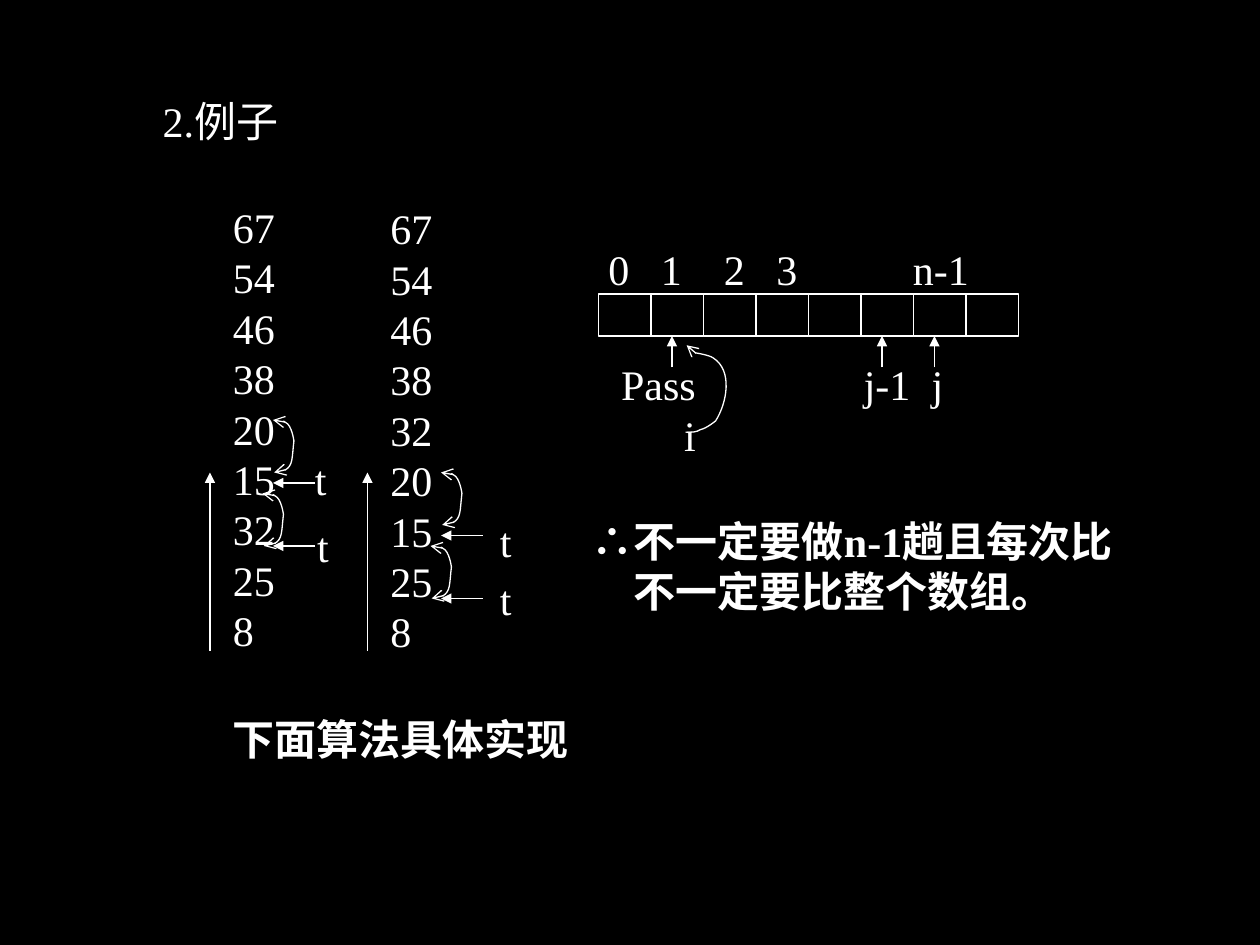
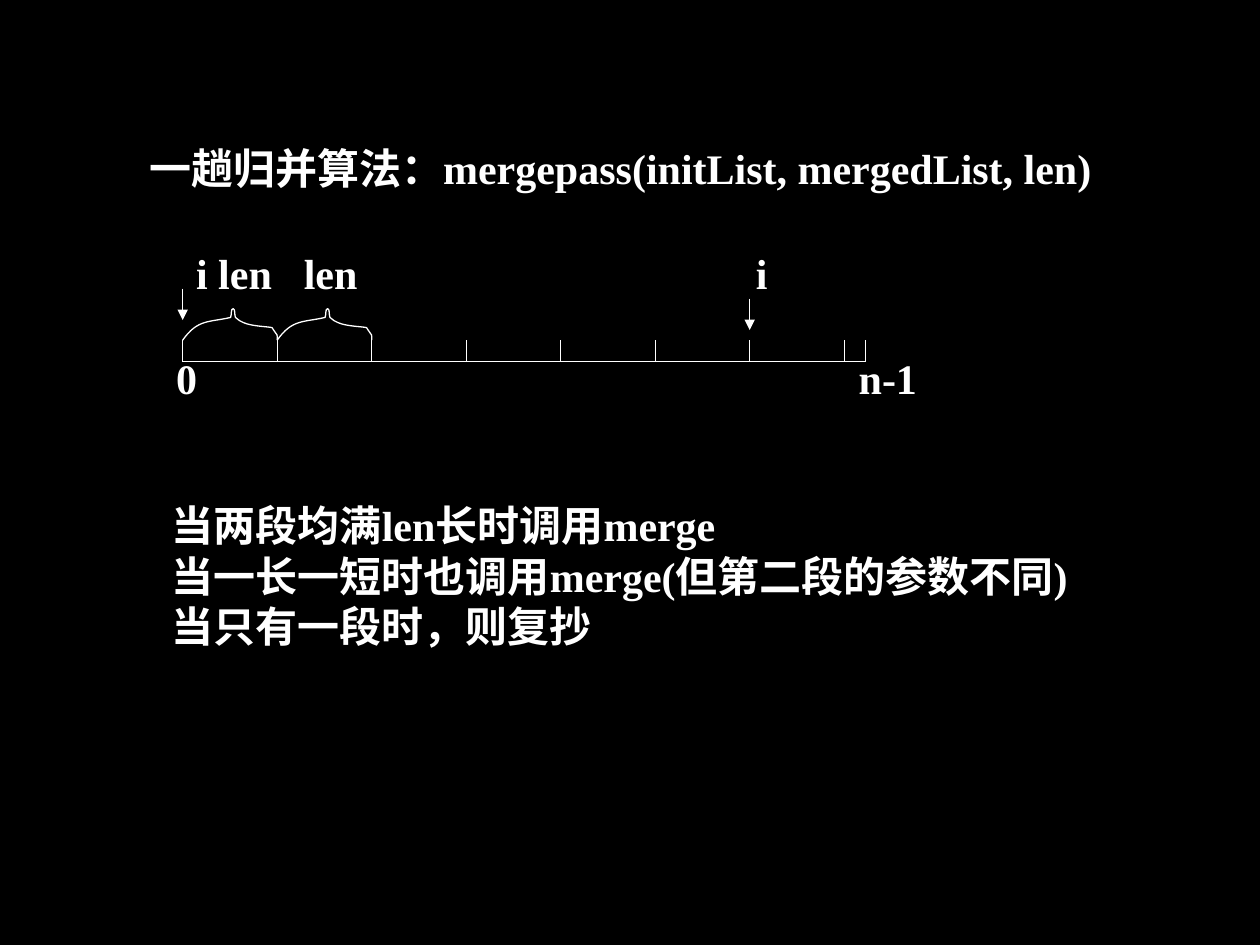
from lxml.etree import SubElement
from pptx import Presentation
from pptx.dml.color import RGBColor
from pptx.enum.shapes import MSO_CONNECTOR as Connector, MSO_SHAPE as Preset
from pptx.enum.text import MSO_ANCHOR as Anchor, MSO_AUTO_SIZE as AutoSize, PP_ALIGN as Align
from pptx.oxml.ns import qn
from pptx.util import Pt

BLACK, WHITE = "000000", "FFFFFF"
FONT = "Times New Roman"


def style_text(frame, bold, color=WHITE):
    frame.word_wrap = True
    frame.auto_size = AutoSize.NONE
    frame.vertical_anchor = Anchor.TOP
    for para in frame.paragraphs:
        para.alignment = Align.LEFT
        para.space_before = Pt(0)
        for span in para.runs:
            span.font.name = FONT
            span.font.size = Pt(24)
            span.font.bold = bold
            span.font.color.rgb = RGBColor.from_string(color)


def style_line(item, head=None, tail=None, color=WHITE):
    """Give a thin shadowless line; head and tail name arrowheads at its start and end."""
    item.line.color.rgb = RGBColor.from_string(color)
    item.line.width = Pt(0.75)
    properties = item._element.spPr
    for tag, kind in (("a:headEnd", head), ("a:tailEnd", tail)):
        if kind:
            SubElement(properties.find(qn("a:ln")), qn(tag), type=kind)
    SubElement(properties, qn("a:effectLst"))


deck = Presentation()
deck.slide_width, deck.slide_height = Pt(720), Pt(540)
background = deck.slide_master.background.fill
background.solid()
background.fore_color.rgb = RGBColor.from_string(BLACK)

example = deck.slides.add_slide(deck.slide_layouts[5])
merging = deck.slides.add_slide(deck.slide_layouts[1])

# Titles and the list
example.shapes.title.text_frame.text = "2.例子"
merging.shapes.title.text_frame.text = "一趟归并算法：mergepass(initList, mergedList, len)"
rules = merging.placeholders[1]
rules.text_frame.text = "\n".join([
    "当两段均满len长时调用merge",
    "当一长一短时也调用merge(但第二段的参数不同)",
    "当只有一段时，则复抄",
])
for para in rules.text_frame.paragraphs:
    properties = para._p.get_or_add_pPr()
    properties.set("marL", "0")
    properties.set("indent", "0")
    SubElement(properties, qn("a:buNone"))
for holder, left, top, width, height, bold in [
    (example.shapes.title, 85.7, 51, 110, 36, False),
    (merging.shapes.title, 78, 78, 580, 36, True),
    (rules, 91, 282, 570, 94, True),
]:
    holder.left, holder.top = Pt(left), Pt(top)
    holder.width, holder.height = Pt(width), Pt(height)
    style_text(holder.text_frame, bold)

# Labels: page, left, top, width, text, bold
labels = [
    (example, 126, 111.6, 45, "67 54 46 38 20 15 32 25 8".replace(" ", "\n"), False),
    (example, 216, 112.3, 45, "67 54 46 38 32 20 15 25 8".replace(" ", "\n"), False),
    (example, 172.8, 255.6, 24, "t", False),
    (example, 174.2, 293.8, 24, "t", False),
    (example, 278.6, 290.9, 24, "t", False),
    (example, 278.6, 324, 24, "t", False),
    (example, 340.6, 135.4, 30, "0", False),
    (example, 370.6, 135.4, 30, "1", False),
    (example, 406.6, 135.4, 30, "2", False),
    (example, 436.6, 135.4, 30, "3", False),
    (example, 514.6, 135.4, 60, "n-1", False),
    (example, 347.8, 201.6, 65, "Pass", False),
    (example, 383.8, 230.4, 24, "i", False),
    (example, 486.5, 201.6, 46, "j-1", False),
    (example, 525.2, 201.6, 24, "j", False),
    (example, 126, 404, 220, "下面算法具体实现", True),
    (merging, 105, 138.2, 70, "i len", True),
    (merging, 166.5, 138.2, 60, "len", True),
    (merging, 424.8, 138.2, 24, "i", True),
    (merging, 93.6, 198, 30, "0", True),
    (merging, 483.6, 198, 60, "n-1", True),
]
for page, left, top, width, text, bold in labels:
    height = 7.2 + 28.8 * (text.count("\n") + 1)
    box = page.shapes.add_textbox(Pt(left), Pt(top), Pt(width), Pt(height))
    box.text_frame.text = text
    style_text(box.text_frame, bold)

conclusion = example.shapes.add_textbox(Pt(331.2), Pt(290.9), Pt(319.7), Pt(94)).text_frame
conclusion.text = "∴\n不一定要比整个数组。"
first, second = conclusion.paragraphs
first.add_run().text = "不一定要做n-1趟且每次比"
second._p.get_or_add_pPr().set("marL", str(Pt(24)))
style_text(conclusion, True)
first.runs[0].font.name = "Arial"

# Array cells
for index in range(8):
    cell = example.shapes.add_shape(Preset.RECTANGLE, Pt(342 + 30 * index), Pt(168), Pt(30), Pt(24))
    cell.fill.background()
    style_line(cell)

# Straight lines: page, start x, start y, end x, end y, arrowhead
lines = [(example, x, 372, x, 270, "triangle") for x in (120, 210)]
lines += [(example, x, 210, x, 192, "triangle") for x in (384, 504, 534)]
lines += [(example, x + 24, y, x, y, "triangle")
          for x, top in ((156, 276), (252, 306)) for y in (top, top + 36)]
ticks = [104.4 + 54 * index for index in range(8)] + [494.6]
lines += [(merging, x, 206.6, x, 194.4, None) for x in ticks]
lines += [
    (merging, ticks[0], 206.6, ticks[-1], 206.6, None),
    (merging, ticks[0], 164.9, ticks[0], 182.9, "triangle"),
    (merging, ticks[6], 170.6, ticks[6], 188.6, "triangle"),
]
for page, start_x, start_y, end_x, end_y, tail in lines:
    line = page.shapes.add_connector(
        Connector.STRAIGHT, Pt(start_x), Pt(start_y), Pt(end_x), Pt(end_y))
    style_line(line, tail=tail)

# Bezier curves: a start point, then three points for each segment
swap = [(0, 0), (2.4, 0.6), (5, 0), (7.2, 1.4), (10.8, 2.9), (12, 12), (12, 12),
        (10.8, 22), (12, 30), (0.7, 30)]
next_pass = [(0, 0), (2.9, 0), (5.8, 0), (7.9, -1.5), (11.5, -2.2), (16.6, -6.5), (16.6, -6.5),
             (23, -16.6), (26.6, -35.3), (15.1, -42.5), (13, -44), (5, -45.4), (4.3, -45.4),
             (2.9, -46.8), (1.4, -48.3), (0, -49.7)]
brace = [(0, 0), (8.6, -12.2), (15.1, -10.1), (27.4, -13), (28.1, -14.4), (27.4, -18), (28.8, -18),
         (30.2, -18), (29.5, -14.4), (30.2, -13), (31.7, -11.5), (33.1, -10.8), (34.6, -10.1),
         (39.6, -7.9), (47.5, -7.9), (51.1, -7.2), (54.7, -1.4), (54, -4.3), (54, 0)]
curves = [(example, x, y, swap, "arrow", "arrow")
          for x, y in ((156, 240), (150, 282), (252, 270), (246, 312))]
curves.append((example, 392.4, 247, next_pass, None, "arrow"))
curves += [(merging, x, 194.4, brace, None, None) for x in ticks[:2]]
for page, left, top, offsets, head, tail in curves:
    points = [(Pt(left + x), Pt(top + y)) for x, y in offsets]
    builder = page.shapes.build_freeform(*points[0])
    builder.add_line_segments(points[1:], close=False)
    curve = builder.convert_to_shape()
    outline = next(curve._element.iter(qn("a:path")))
    steps = outline.findall(qn("a:lnTo"))
    for index in range(0, len(steps), 3):
        segment = SubElement(outline, qn("a:cubicBezTo"))
        for step in steps[index:index + 3]:
            segment.append(step[0])
            outline.remove(step)
    curve.fill.background()
    style_line(curve, head, tail)

deck.save("out.pptx")
